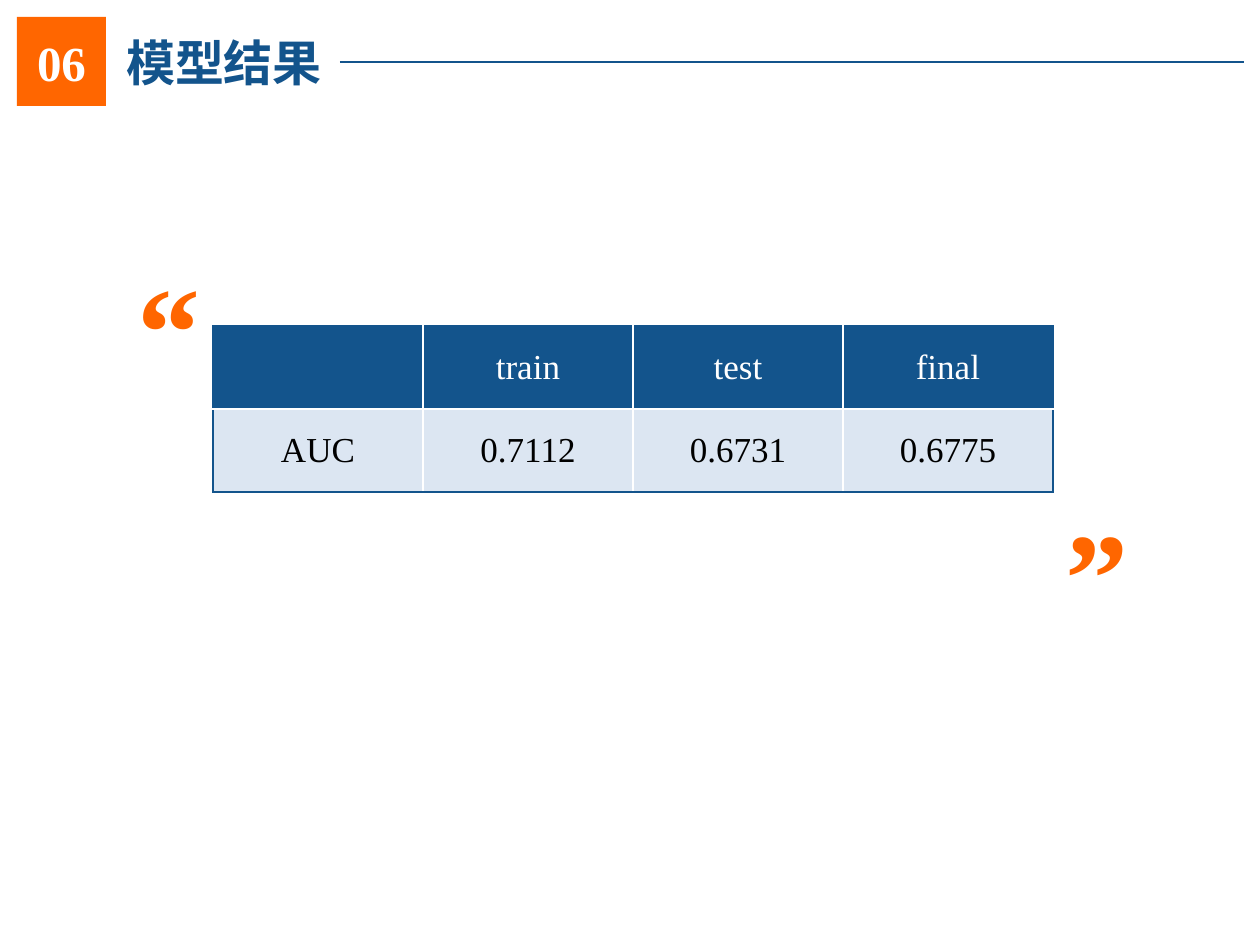
from dataclasses import dataclass

from lxml import etree
from pptx import Presentation
from pptx.dml.color import RGBColor
from pptx.enum.shapes import MSO_CONNECTOR, MSO_SHAPE
from pptx.enum.text import MSO_ANCHOR, MSO_AUTO_SIZE, PP_ALIGN
from pptx.oxml.ns import qn
from pptx.util import Emu, Pt

LEFT, CENTER = PP_ALIGN.LEFT, PP_ALIGN.CENTER
MIDDLE = MSO_ANCHOR.MIDDLE
FIT_SHAPE = MSO_AUTO_SIZE.SHAPE_TO_FIT_TEXT
RECTANGLE, STRAIGHT = MSO_SHAPE.RECTANGLE, MSO_CONNECTOR.STRAIGHT
PIXELS_PER_INCH = 126


@dataclass(frozen=True)
class Theme:
    font: str = "Times New Roman"
    blue: str = "13548C"
    orange: str = "FF6600"
    pale: str = "DCE6F2"
    white: str = "FFFFFF"
    black: str = "000000"
    quote_size: int = 72
    heading_size: int = 28
    table_size: int = 20


THEME = Theme()
RESULTS = [
    ["", "train", "test", "final"],
    ["AUC", "0.7112", "0.6731", "0.6775"],
]


def px(length):
    return Emu(round(length * 914400 / PIXELS_PER_INCH))


def box(*lengths):
    return [px(length) for length in lengths]


def color(value):
    return RGBColor.from_string(value)


def write(text_frame, text, size, text_color, bold=False, align=CENTER):
    paragraph = text_frame.paragraphs[0]
    paragraph.alignment = align
    run = paragraph.add_run()
    run.text = text
    run.font.name = THEME.font
    run.font.size = Pt(size)
    run.font.bold = bold
    run.font.color.rgb = color(text_color)


def add_quote_mark(slide, mark, left, top):
    text_frame = slide.shapes.add_textbox(*box(left, top, 89, 165)).text_frame
    text_frame.word_wrap = False
    text_frame.auto_size = FIT_SHAPE
    write(text_frame, mark, THEME.quote_size, THEME.orange, bold=True, align=LEFT)


def add_title(slide, title):
    text_frame = slide.shapes.add_textbox(*box(108, 26, 232, 71)).text_frame
    text_frame.word_wrap = True
    text_frame.auto_size = FIT_SHAPE
    text_frame.vertical_anchor = MIDDLE
    text_frame.margin_top = text_frame.margin_bottom = px(5)
    write(text_frame, title, THEME.heading_size, THEME.blue, bold=True)


def add_section_number(slide, number):
    square = slide.shapes.add_shape(RECTANGLE, *box(17, 17, 89, 89))
    square.shadow.inherit = False
    square.fill.solid()
    square.fill.fore_color.rgb = color(THEME.orange)
    square.line.fill.background()
    square.text_frame.vertical_anchor = MIDDLE
    write(square.text_frame, number, THEME.heading_size, THEME.white, bold=True)


def add_rule(slide):
    rule = slide.shapes.add_connector(STRAIGHT, *box(340, 62, 1244, 62))
    rule.line.color.rgb = color(THEME.blue)
    rule.line.width = Pt(0.75)
    etree.SubElement(rule._element.spPr, qn("a:effectLst"))


def set_borders(cell, border_colors):
    """Draw 1 pt borders, which must come before the fill in the cell properties."""
    properties = cell._tc.get_or_add_tcPr()
    for index, (side, border_color) in enumerate(border_colors.items()):
        line = etree.Element(qn(f"a:ln{side}"), w=str(Pt(1)))
        fill = etree.SubElement(line, qn("a:solidFill"))
        etree.SubElement(fill, qn("a:srgbClr"), val=border_color)
        properties.insert(index, line)


def add_results_table(slide, rows):
    """Place the table with blue outer borders and white inner ones."""
    row_count, column_count = len(rows), len(rows[0])
    frame = slide.shapes.add_table(
        row_count, column_count, *box(213, 326, 210 * column_count, 83 * row_count)
    )
    for row_index, row in enumerate(rows):
        is_header = row_index == 0
        for column_index, text in enumerate(row):
            cell = frame.table.cell(row_index, column_index)
            cell.fill.solid()
            cell.fill.fore_color.rgb = color(THEME.blue if is_header else THEME.pale)
            cell.vertical_anchor = MIDDLE
            cell.margin_left = cell.margin_right = px(9)
            cell.margin_top = cell.margin_bottom = px(6)
            is_outer = {
                "L": column_index == 0,
                "R": column_index == column_count - 1,
                "T": is_header,
                "B": row_index == row_count - 1,
            }
            set_borders(cell, {
                side: THEME.blue if outer else THEME.white
                for side, outer in is_outer.items()
            })
            if text:
                text_color = THEME.white if is_header else THEME.black
                write(cell.text_frame, text, THEME.table_size, text_color)


def main():
    presentation = Presentation()
    presentation.slide_width, presentation.slide_height = box(1260, 945)
    slide = presentation.slides.add_slide(presentation.slide_layouts[6])
    add_quote_mark(slide, "”", 1053, 489)
    add_quote_mark(slide, "“", 125, 243)
    add_results_table(slide, RESULTS)
    add_rule(slide)
    add_title(slide, "模型结果")
    add_section_number(slide, "06")
    presentation.save("out.pptx")


if __name__ == "__main__":
    main()
